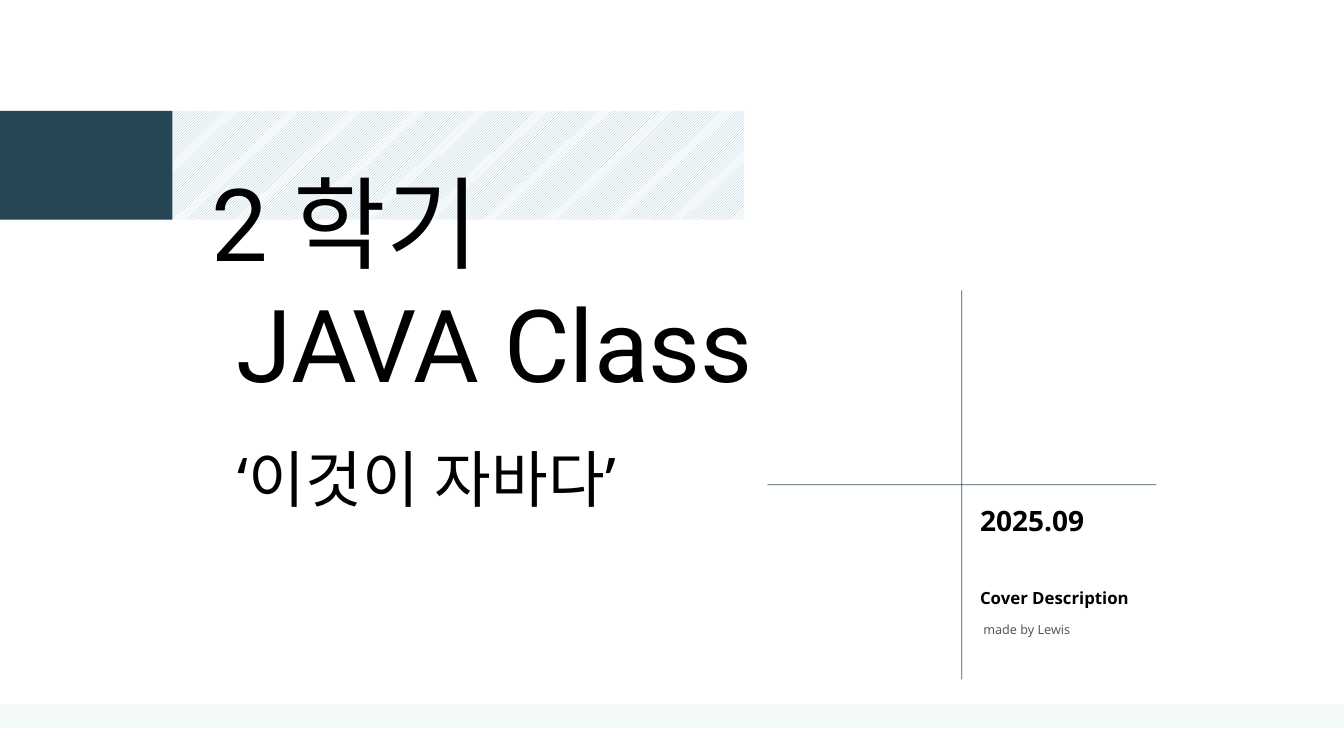
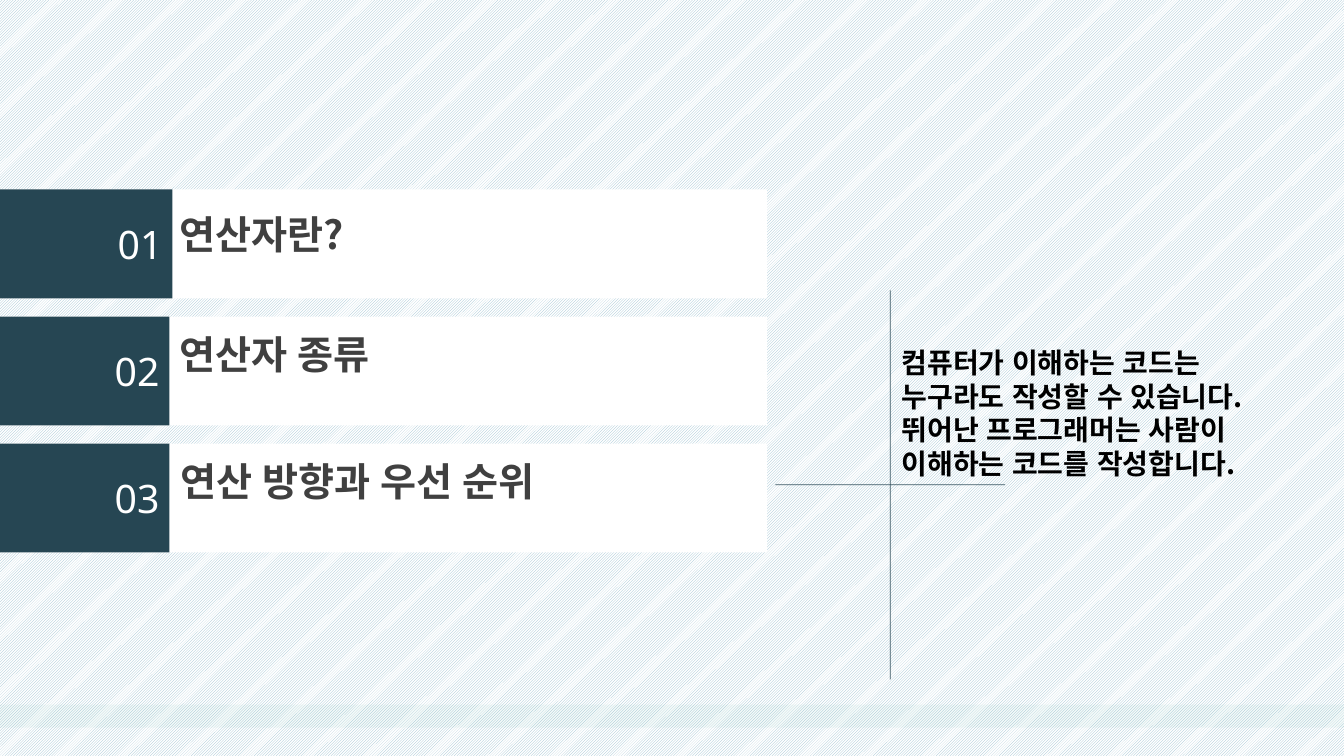
from pptx import Presentation
from pptx.dml.color import RGBColor
from pptx.enum.dml import MSO_PATTERN
from pptx.enum.shapes import MSO_CONNECTOR, MSO_SHAPE
from pptx.enum.text import MSO_ANCHOR as ANCHOR, PP_ALIGN as ALIGN
from pptx.oxml.ns import qn
from lxml import etree

PX = 9144  # 100 px to the inch
WIDTH, HEIGHT = 1333, 750
NAVY, TEAL, STRIPE = "264653", "2A9D8F", "94BDCE"
WHITE, BLACK, GRAY = "FFFFFF", "000000", "404040"
LATIN, KOREAN, DISPLAY = "Noto Sans", "Noto Sans CJK KR", "Roboto"
BAR_HEIGHT, NUMBER_WIDTH = 108, 171

# Each title line is a list of (text, size, font)
TITLE_LINES = [
    [("2 학기", 72, DISPLAY)],
    [(" JAVA Class", 72, DISPLAY)],
    [(" ", 72, LATIN), ("‘이것이 자바다’", 44, LATIN)],
]
# Text, box, format
COVER_NOTES = [
    ("2025.09", (972, 493, 308, 47), dict(size=20, bold=True, anchor=ANCHOR.MIDDLE)),
    ("Cover Description", (972, 583, 308, 20), dict(size=12, bold=True, anchor=ANCHOR.MIDDLE)),
    (" made by Lewis", (972, 609, 308, 38), dict(size=9, alpha=65, spacing=1.5)),
]
# Number, number width, topic, topic left, topic offset from the bar top
AGENDA = [
    ("01", NUMBER_WIDTH, "연산자란?", 178, 21),
    ("02", 168, "연산자 종류", 178, 14),
    ("03", 168, "연산 방향과 우선 순위", 179, 14),
]
AGENDA_TOP, AGENDA_PITCH, AGENDA_WIDTH = 188, 126, 761
QUOTE = ("컴퓨터가 이해하는 코드는 누구라도 작성할 수 있습니다. "
         "뛰어난 프로그래머는 사람이 이해하는 코드를 작성합니다.")


def emu(*lengths):
    return [round(length * PX) for length in lengths]


def set_color(color_format, value, alpha=100):
    color_format.rgb = RGBColor.from_string(value)
    if alpha < 100:
        # The solid fill just set is the parent of the colour element
        color = color_format._xFill.find(qn("a:srgbClr"))
        etree.SubElement(color, qn("a:alpha"), val=str(alpha * 1000))


def add_run(paragraph, text, size, font=LATIN, color=BLACK, bold=False, alpha=100):
    run = paragraph.add_run()
    run.text = text
    run.font.size = size * 12700
    run.font.name = font
    run.font.bold = bold
    run.font.fill.solid()
    set_color(run.font.fill.fore_color, color, alpha)
    # Korean text takes its spaces and quotes from the proportional font
    east_asian = etree.Element(qn("a:ea"), typeface=LATIN)
    run._r.rPr.find(qn("a:latin")).addnext(east_asian)


def clear_margins(frame, anchor):
    frame.word_wrap = True
    frame.vertical_anchor = anchor
    frame.margin_left = frame.margin_right = frame.margin_top = frame.margin_bottom = 0


def add_text(slide, text, box, anchor=ANCHOR.TOP, spacing=1.0, **run_format):
    frame = slide.shapes.add_textbox(*emu(*box)).text_frame
    clear_margins(frame, anchor)
    paragraph = frame.paragraphs[0]
    paragraph.line_spacing = spacing
    add_run(paragraph, text, **run_format)


def add_bar(slide, box, color, alpha=100, striped=False):
    shape = slide.shapes.add_shape(MSO_SHAPE.RECTANGLE, *emu(*box))
    shape.shadow.inherit = False
    shape.line.fill.background()
    if striped:
        shape.fill.patterned()
        shape.fill.pattern = MSO_PATTERN.DARK_UPWARD_DIAGONAL
        set_color(shape.fill.back_color, WHITE)
        set_color(shape.fill.fore_color, color)
    else:
        shape.fill.solid()
        set_color(shape.fill.fore_color, color, alpha)
    return shape


def add_footer_band(slide):
    add_bar(slide, (0, 699, WIDTH, 23), TEAL, alpha=5)


def add_cross(slide, x, y, half_width, half_height):
    for dx, dy in ((half_width, 0), (0, half_height)):
        line = slide.shapes.add_connector(
            MSO_CONNECTOR.STRAIGHT, *emu(x - dx, y - dy, x + dx, y + dy))
        line.line.width = 6350
        line.line.fill.solid()
        set_color(line.line.fill.fore_color, NAVY, alpha=90)
        etree.SubElement(line._element.spPr, qn("a:effectLst"))


def build_cover(presentation):
    slide = presentation.slides.add_slide(presentation.slide_layouts[5])
    add_bar(slide, (0, 110, 738, BAR_HEIGHT), STRIPE, striped=True)
    add_bar(slide, (0, 110, NUMBER_WIDTH, BAR_HEIGHT), NAVY)
    add_footer_band(slide)

    # Title, raised above the striped bar
    title = slide.shapes.title
    title.left, title.top, title.width, title.height = emu(210, 148, 835, 382)
    slide.shapes._spTree.append(title._element)
    frame = title.text_frame
    clear_margins(frame, ANCHOR.MIDDLE)
    for index, runs in enumerate(TITLE_LINES):
        paragraph = frame.add_paragraph() if index else frame.paragraphs[0]
        paragraph.alignment = ALIGN.LEFT
        paragraph.line_spacing = 1.0
        for text, size, font in runs:
            add_run(paragraph, text, size, font)

    for text, box, text_format in COVER_NOTES:
        add_text(slide, text, box, **text_format)
    add_cross(slide, 954, 481, 193, 193)


def build_agenda(presentation):
    slide = presentation.slides.add_slide(presentation.slide_layouts[6])
    add_bar(slide, (0, 0, WIDTH, HEIGHT), STRIPE, striped=True)
    add_footer_band(slide)
    add_cross(slide, 883, 481, 114, 193)

    # Numbered topics
    for index, (number, width, topic, left, offset) in enumerate(AGENDA):
        top = AGENDA_TOP + index * AGENDA_PITCH
        add_bar(slide, (0, top, AGENDA_WIDTH, BAR_HEIGHT), WHITE)
        frame = add_bar(slide, (0, top, width, BAR_HEIGHT), NAVY).text_frame
        frame.vertical_anchor = ANCHOR.MIDDLE
        frame.paragraphs[0].alignment = ALIGN.RIGHT
        add_run(frame.paragraphs[0], number, 28, color=WHITE)
        add_text(slide, topic, (left, top + offset, 556, 47),
                 size=28, font=KOREAN, color=GRAY, bold=True)

    add_text(slide, QUOTE, (894, 343, 357, 193), size=20, font=KOREAN, bold=True)


def main():
    presentation = Presentation()
    presentation.slide_width, presentation.slide_height = emu(WIDTH, HEIGHT)
    build_cover(presentation)
    build_agenda(presentation)
    presentation.save("out.pptx")


if __name__ == "__main__":
    main()
